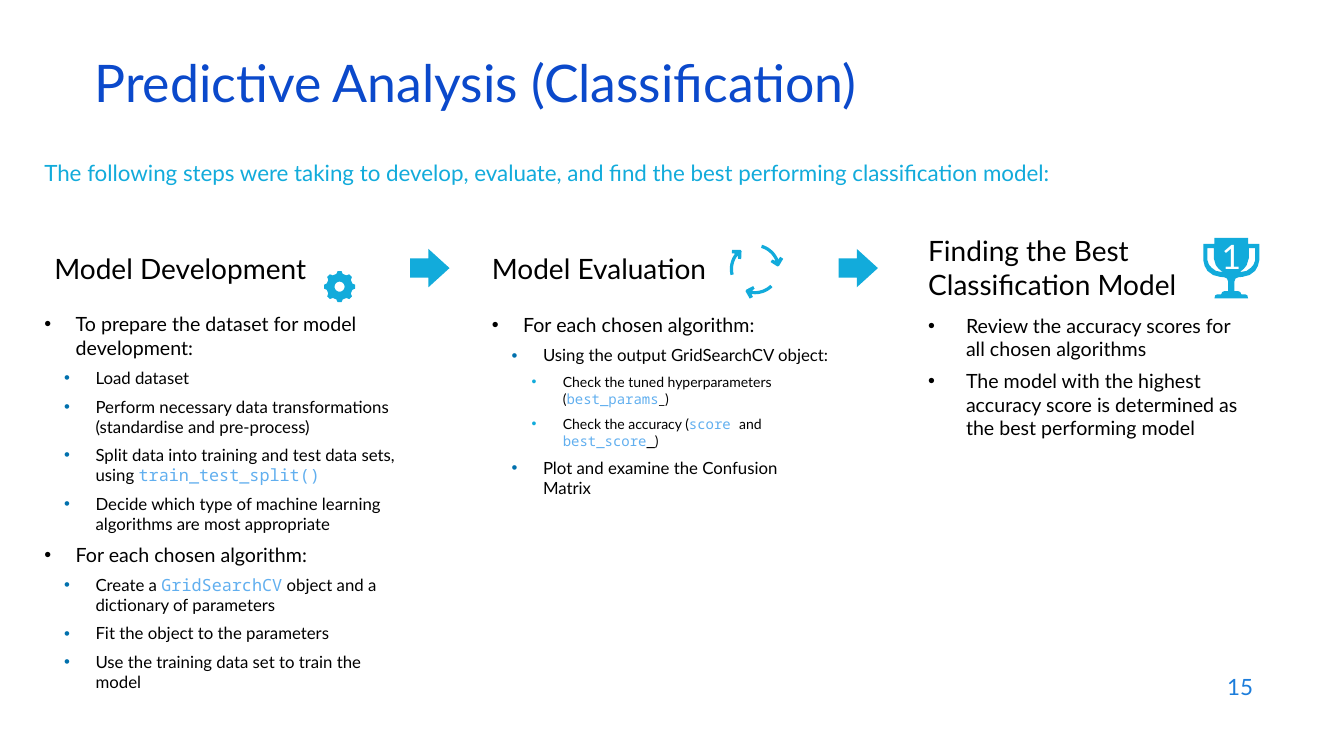
import math

import pptx
import pptx.dml.color
import pptx.enum.shapes
import pptx.enum.text
import pptx.oxml
import pptx.oxml.ns
import pptx.util

Pt = pptx.util.Pt
RGB = pptx.dml.color.RGBColor
ANCHOR = pptx.enum.text.MSO_ANCHOR
ALIGN = pptx.enum.text.PP_ALIGN

BLACK = RGB(0x00, 0x00, 0x00)
WHITE = RGB(0xFF, 0xFF, 0xFF)
ROYAL = RGB(0x0B, 0x49, 0xCB)
BLUE = RGB(0x1C, 0x7D, 0xDB)
CYAN = RGB(0x12, 0xAB, 0xDB)
TEAL = RGB(0x00, 0x70, 0xAD)
SKY = RGB(0x61, 0xAF, 0xEF)

SANS = "Lato"
MONO = "Noto Sans Mono"
SIZES = [14, 12, 10]
DOTS = [BLACK, TEAL, CYAN]
INSET = (7.2, 3.6, 7.2, 3.6)
FLUSH = (0, 0, 0, 0)


def plain(text):
    return text, SANS, BLACK


def code(text, hue=SKY):
    return text, MONO, hue


DEVELOP = [
    (0, [plain("To prepare the dataset for model development:")]),
    (1, [plain("Load dataset")]),
    (1, [plain("Perform necessary data transformations (standardise and pre-process)")]),
    (1, [plain("Split data into training and test data sets, using "),
         code("train_test_split()")]),
    (1, [plain("Decide which type of machine learning algorithms are most appropriate")]),
    (0, [plain("For each chosen algorithm:")]),
    (1, [plain("Create a "), code("GridSearchCV"),
         plain(" object and a dictionary of parameters")]),
    (1, [plain("Fit the object to the parameters")]),
    (1, [plain("Use the training data set to train the model")]),
]
ASSESS = [
    (0, [plain("For each chosen algorithm:")]),
    (1, [plain("Using the output GridSearchCV object:")]),
    (2, [plain("Check the tuned hyperparameters ("), code("best_params"), plain("_)")]),
    (2, [plain("Check the accuracy ("), code("score "), plain("and "),
         code("best_score"), code("_", BLACK), plain(")")]),
    (1, [plain("Plot and examine the Confusion Matrix")]),
]
CHOOSE = [
    (0, [plain("Review the accuracy scores for all chosen algorithms")]),
    (0, [plain("The model with the highest accuracy score is determined "
               "as the best performing model")]),
]

CUP = [(12, 0), (12, 4.3), (20, 4.3), (20, 16), (19, 20), (17, 23.5), (13, 26.5),
       (8, 27.8), (5, 28.1), (3, 29), (2.3, 31), (2.3, 38), (5, 38), (6.5, 38.7),
       (7.2, 40.3), (10, 40.3), (11.5, 41), (12, 43.2)]
LOOP = [(12.5, 7.2), (17, 7.2), (17, 16), (16, 19), (14, 21.3), (11, 23.5),
        (6, 24.5), (9, 22), (11, 19.5), (12.5, 14.5)]
TOOTH = [(9.4, -14), (11.2, -7), (11.2, 7), (9.4, 14)]
BARB = [(20, -26), (21.4, -20), (17.2, -7), (16, -7), (12.2, -24), (14, -29)]


def add_run(para, text, size, face, hue):
    run = para.add_run()
    run.text = text
    run.font.size = Pt(size)
    run.font.name = face
    run.font.color.rgb = hue


def set_frame(frame, inset, anchor):
    frame.word_wrap = True
    frame.vertical_anchor = anchor
    (frame.margin_left, frame.margin_top,
     frame.margin_right, frame.margin_bottom) = map(Pt, inset)


def add_box(slide, area, inset=INSET, anchor=ANCHOR.TOP):
    frame = slide.shapes.add_textbox(*map(Pt, area)).text_frame
    set_frame(frame, inset, anchor)
    return frame


def add_label(slide, area, text, size, hue, inset=INSET, anchor=ANCHOR.MIDDLE):
    para = add_box(slide, area, inset, anchor).paragraphs[0]
    add_run(para, text, size, SANS, hue)
    return para


def set_bullet(para, level, indent):
    props = para._p.get_or_add_pPr()
    props.set("marL", str(Pt(indent + 14.2 * level)))
    props.set("indent", str(-Pt(indent)))
    space = pptx.oxml.ns.nsdecls("a")
    for mark in (
        f'<a:buClr {space}><a:srgbClr val="{DOTS[level]}"/></a:buClr>',
        f'<a:buFont {space} typeface="Arial"/>',
        f'<a:buChar {space} char="•"/>',
    ):
        props.append(pptx.oxml.parse_xml(mark))


def add_list(slide, area, items, indent=22.4, inset=INSET):
    frame = add_box(slide, area, inset)
    for index, (level, runs) in enumerate(items):
        para = frame.add_paragraph() if index else frame.paragraphs[0]
        set_bullet(para, level, indent)
        para.level = level
        para.space_after = Pt(6)
        for text, face, hue in runs:
            add_run(para, text, SIZES[level], face, hue)


def paint(shape):
    shape.shadow.inherit = False
    shape.fill.solid()
    shape.fill.fore_color.rgb = CYAN
    shape.line.fill.background()


def add_arrow(slide, left):
    kind = pptx.enum.shapes.MSO_SHAPE.RIGHT_ARROW
    shape = slide.shapes.add_shape(kind, *map(Pt, (left, 177.8, 28.1, 27.4)))
    shape.adjustments[1] = 0.55
    paint(shape)


def trace(slide, parts):
    parts = [[(Pt(x), Pt(y)) for x, y in part] for part in parts]
    pen = slide.shapes.build_freeform(*parts[0][0], scale=1.0)
    for index, part in enumerate(parts):
        if index:
            pen.move_to(*part[0])
        pen.add_line_segments(part[1:], close=True)
    shape = pen.convert_to_shape()
    paint(shape)
    return shape


def polar(mid, radius, angle):
    turn = math.radians(angle)
    return mid[0] + radius * math.cos(turn), mid[1] + radius * math.sin(turn)


def add_gear(slide, mid):
    rim = [polar(mid, radius, base + step)
           for base in range(0, 360, 45) for radius, step in TOOTH]
    hole = [polar(mid, 3.6, angle) for angle in range(360, 0, -15)]
    trace(slide, [rim, hole])


def add_cycle(slide, mid):
    sweep = range(-74, -21, 4)
    outer = [(18, step) for step in sweep]
    inner = [(15.7, step) for step in reversed(sweep)]
    for turn in (0, 120, 240):
        edge = [polar(mid, radius, turn + step)
                for radius, step in outer + BARB + inner]
        trace(slide, [edge])


def add_trophy(slide, mid, top):
    def side(points, sign):
        return [(mid + sign * x, top + y) for x, y in points]

    cup = side(CUP, 1) + side(CUP, -1)[::-1]
    shape = trace(slide, [cup, side(LOOP, 1), side(LOOP, -1)])
    set_frame(shape.text_frame, (0, 0, 0, 17.3), ANCHOR.MIDDLE)
    para = shape.text_frame.paragraphs[0]
    para.alignment = ALIGN.CENTER
    add_run(para, "1", 24, SANS, WHITE)


def main():
    deck = pptx.Presentation()
    deck.slide_width, deck.slide_height = Pt(960), Pt(540)
    slide = deck.slides.add_slide(deck.slide_layouts[6])

    page = add_label(slide, (686.2, 474.5, 216, 31.7), "15", 16, BLUE)
    page.alignment = ALIGN.RIGHT
    title = add_label(slide, (60.5, 42.5, 828, 43.2),
                      "Predictive Analysis (Classification)", 37, ROYAL)
    title.line_spacing = 0.7
    add_label(slide, (31.7, 113.8, 897.8, 54.7),
              "The following steps were taking to develop, evaluate, and find "
              "the best performing classification model:",
              16, CYAN, FLUSH, ANCHOR.TOP)

    for area, text, anchor in (
        ((31.7, 164.2, 272.2, 55.4), "Model Development", ANCHOR.MIDDLE),
        ((344.2, 167, 200.9, 49.7), "Model Evaluation", ANCHOR.MIDDLE),
        ((655.9, 163.4, 272.2, 56.9), "Finding the Best Classification Model",
         ANCHOR.TOP),
    ):
        head = add_label(slide, area, text, 20, BLACK, anchor=anchor)
        head.space_after = Pt(6)

    add_list(slide, (31.7, 223, 261.4, 267.8), DEVELOP, inset=FLUSH)
    add_list(slide, (344.2, 220.2, 254.9, 270.7), ASSESS)
    add_list(slide, (655.9, 220.6, 243.4, 270.7), CHOOSE, indent=27)

    for left in (293, 599):
        add_arrow(slide, left)
    add_gear(slide, (242.6, 204.8))
    add_cycle(slide, (539.3, 192.2))
    add_trophy(slide, 879.5, 170)
    deck.save("out.pptx")


if __name__ == "__main__":
    main()
